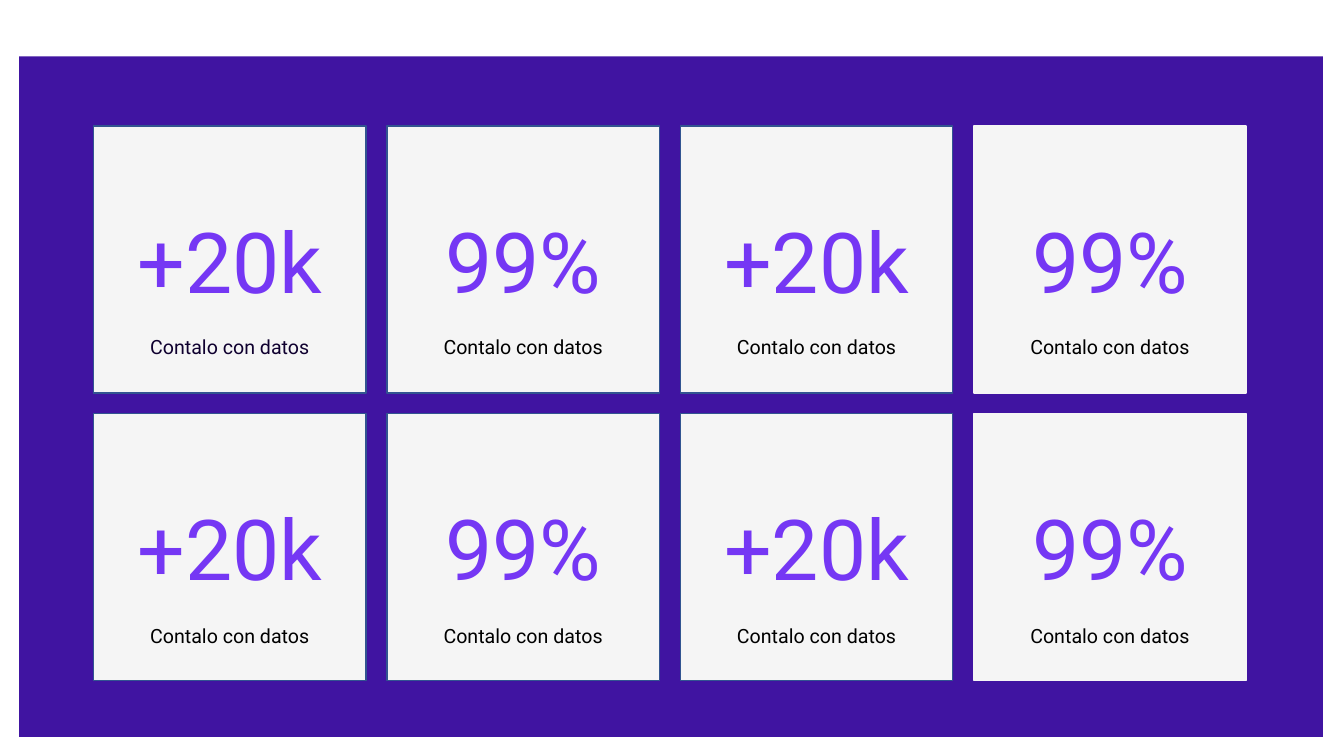
"""Build a slide with a two by four grid of key figure cards."""
from pptx import Presentation
from pptx import util as u
from pptx.dml.color import RGBColor
from pptx.enum import shapes, text

PX = 9144
COLORS = {
    "panel": "4014A1",
    "card": "F5F5F5",
    "border": "325491",
    "figure": "7537F4",
    "first_caption": "0F002F",
    "caption": "000000",
}
FIGURES = ["+20k", "99%", "+20k", "99%"]
CARD_WIDTH, CARD_HEIGHT = 270, 265
LEFT, COLUMN_STEP = 93, 291
ROWS = [(125, 327), (410, 614)]


def add_box(left, top, width, height, fill, line=None):
    shape = slide.shapes.add_shape(
        shapes.MSO_SHAPE.RECTANGLE, left * PX, top * PX, width * PX, height * PX)
    shape.shadow.inherit = False
    shape.fill.solid()
    shape.fill.fore_color.rgb = RGBColor.from_string(COLORS[fill])
    if line:
        shape.line.color.rgb = RGBColor.from_string(COLORS[line])
        shape.line.width = u.Pt(1)
    else:
        shape.line.fill.background()
    return shape


def write(shape, wording, size, color):
    shape.text_frame.word_wrap = True
    paragraph = shape.text_frame.paragraphs[0]
    paragraph.alignment = text.PP_ALIGN.CENTER
    run = paragraph.add_run()
    run.text = wording
    run.font.name = "Roboto"
    run.font.size = u.Pt(size)
    run.font.color.rgb = RGBColor.from_string(COLORS[color])


presentation = Presentation()
presentation.slide_width = 1333 * PX
presentation.slide_height = 750 * PX
slide = presentation.slides.add_slide(presentation.slide_layouts[6])

add_box(19, 56, 1293, 675, "panel")

for card_top, caption_top in ROWS:
    for column, figure in enumerate(FIGURES):
        left = LEFT + column * COLUMN_STEP
        border = "card" if column == 3 else "border"
        card = add_box(left, card_top, CARD_WIDTH, CARD_HEIGHT, "card", border)
        card.text_frame.vertical_anchor = text.MSO_ANCHOR.MIDDLE
        write(card, figure, 60, "figure")

        caption = slide.shapes.add_textbox(
            left * PX, caption_top * PX, CARD_WIDTH * PX, 34 * PX)
        caption.text_frame.auto_size = text.MSO_AUTO_SIZE.SHAPE_TO_FIT_TEXT
        is_first = column == 0 and card_top == ROWS[0][0]
        write(caption, "Contalo con datos", 14,
              "first_caption" if is_first else "caption")

presentation.save("out.pptx")
